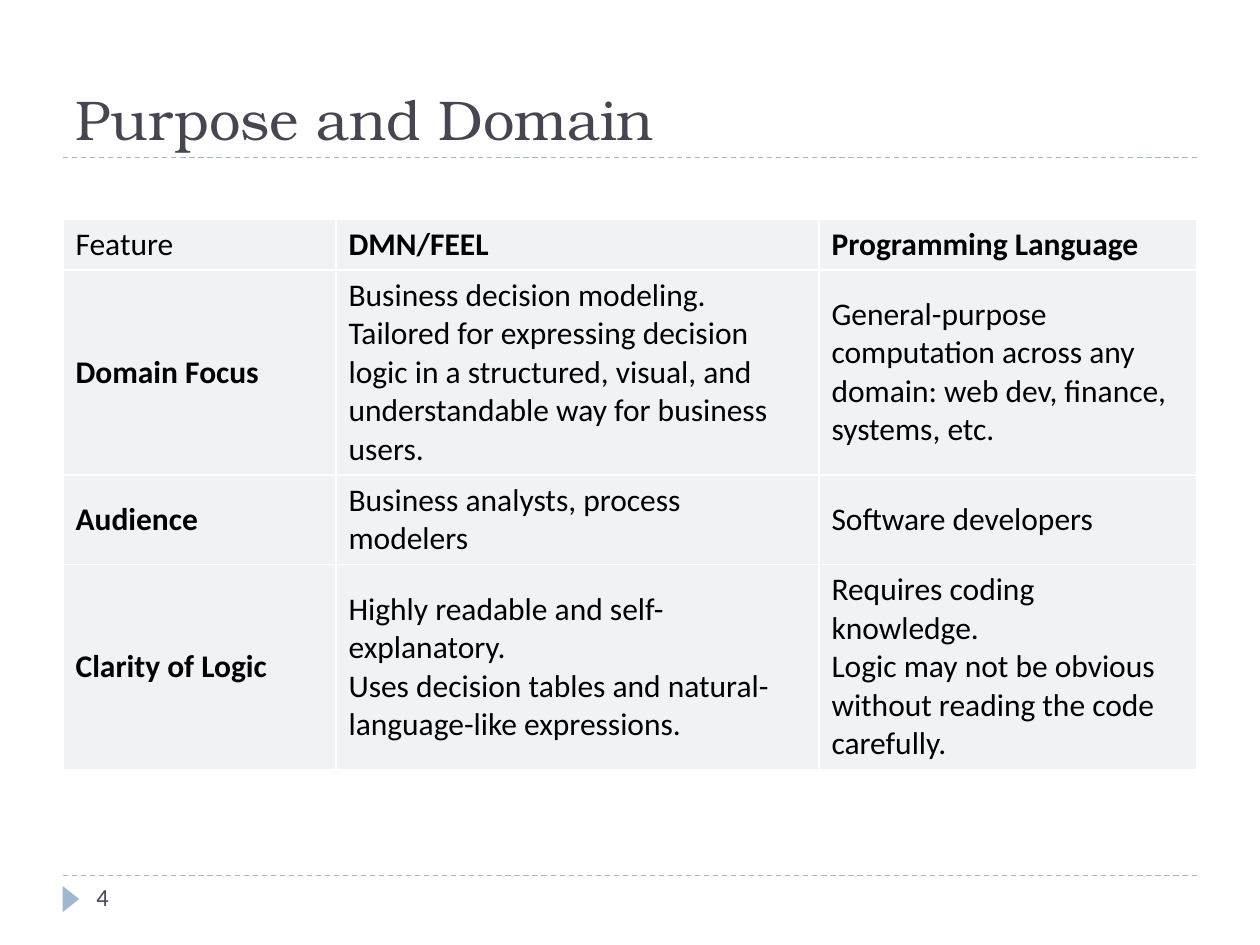
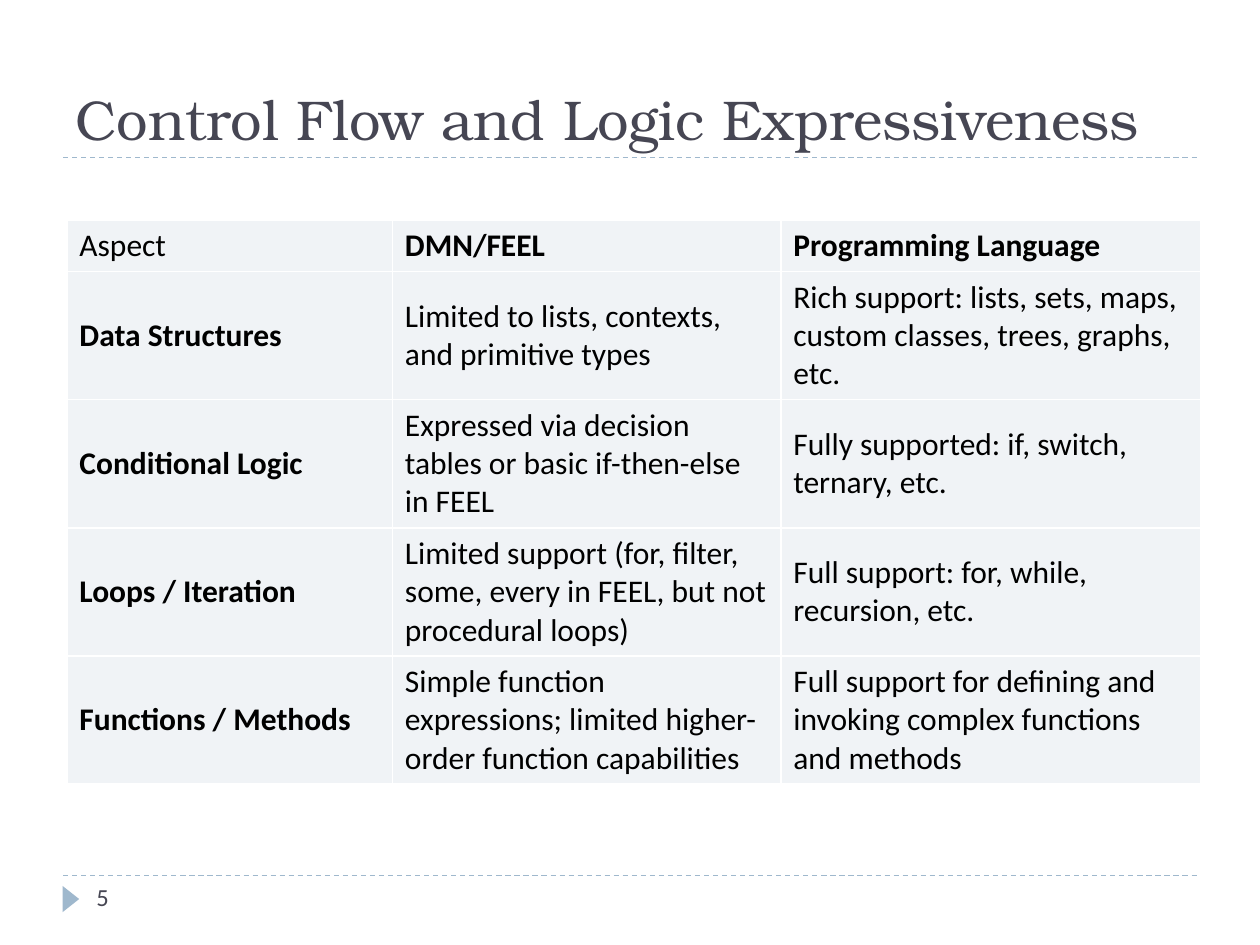
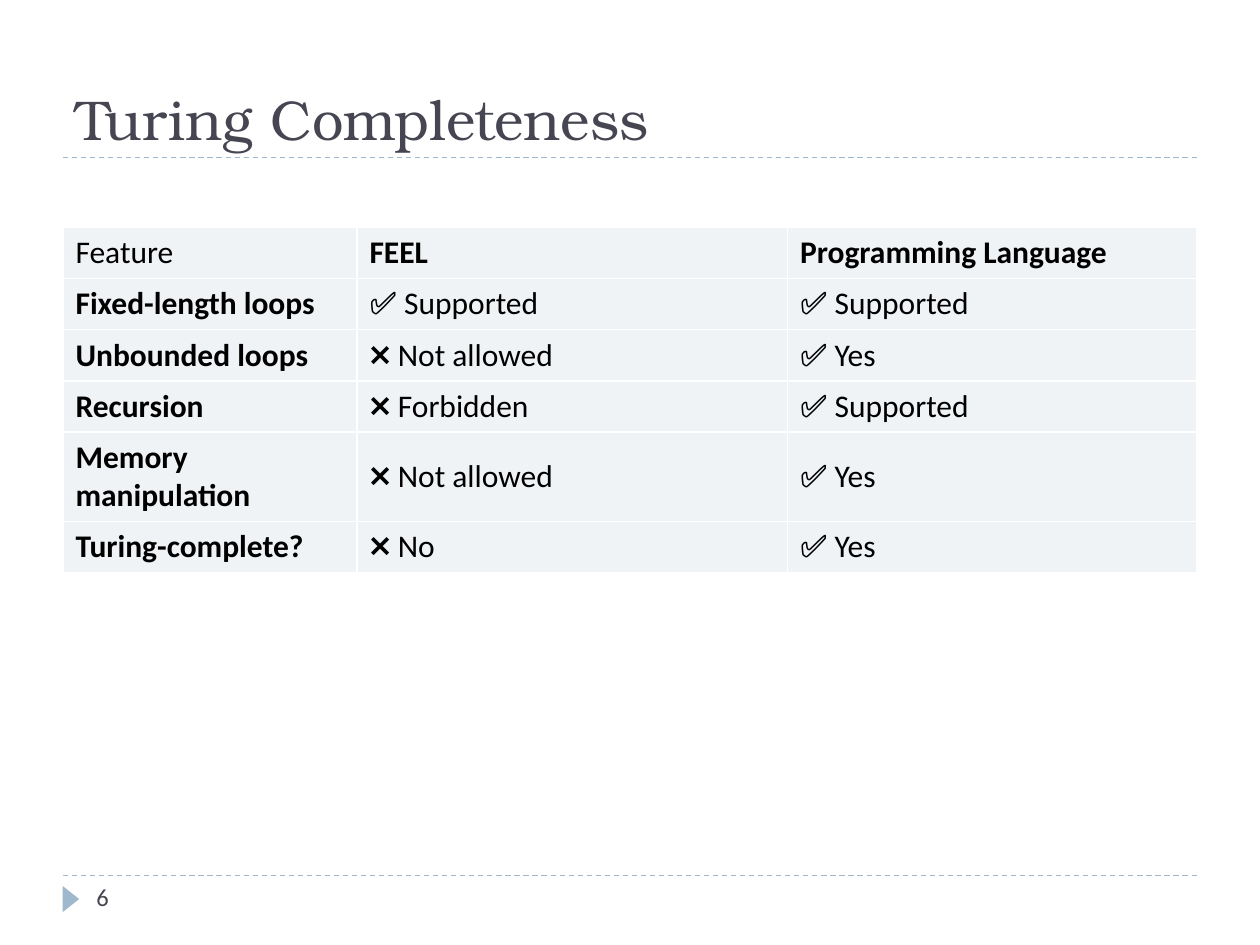
import pptx
import pptx.dml.color
import pptx.enum.dml
import pptx.enum.shapes
import pptx.enum.text
import pptx.oxml
import pptx.oxml.ns
import pptx.util
from lxml import etree

Pt = pptx.util.Pt

COLORS = {"ink": "464653", "accent": "9FB8CD", "cell": "F0F3F6", "text": "000000", "border": "FFFFFF"}
TITLE_FONT = {"name": "TeX Gyre Bonum", "size": Pt(32), "color": "ink"}
NUMBER_FONT = {"name": "Calibri", "size": Pt(14), "color": "ink"}
CELL_FONT = {"name": "Calibri", "size": Pt(18), "color": "text"}

FIRST_NUMBER = 4
MARGIN, CONTENT_WIDTH = 36, 648
TITLE_RULE, FOOTER_RULE = 90, 500.4
LINE_HEIGHT, CELL_PADDING = 22, 7.2

# "lines" is the number of text lines that each row holds
SLIDES = [
    {
        "title": "Purpose and Domain",
        "at": (36, 125),
        "columns": (156, 276, 216),
        "lines": (1, 5, 2, 5),
        "rows": [
            ("Feature", "DMN/FEEL", "Programming Language"),
            ("Domain Focus",
             "Business decision modeling.\nTailored for expressing decision logic in a structured, "
             "visual, and understandable way for business users.",
             "General-purpose computation across any domain: web dev, finance, systems, etc."),
            ("Audience", "Business analysts, process modelers", "Software developers"),
            ("Clarity of Logic",
             "Highly readable and self-explanatory.\n"
             "Uses decision tables and natural-language-like expressions.",
             "Requires coding knowledge.\n"
             "Logic may not be obvious without reading the code carefully."),
        ],
    },
    {
        "title": "Control Flow and Logic Expressiveness",
        "at": (38.2, 126),
        "columns": (186, 222, 240),
        "lines": (1, 3, 3, 3, 3),
        "rows": [
            ("Aspect", "DMN/FEEL", "Programming Language"),
            ("Data Structures", "Limited to lists, contexts, and primitive types",
             "Rich support: lists, sets, maps, custom classes, trees, graphs, etc."),
            ("Conditional Logic", "Expressed via decision tables or basic if-then-else in FEEL",
             "Fully supported: if, switch, ternary, etc."),
            ("Loops / Iteration",
             "Limited support (for, filter, some, every in FEEL, but not procedural loops)",
             "Full support: for, while, recursion, etc."),
            ("Functions / Methods",
             "Simple function expressions; limited higher-order function capabilities",
             "Full support for defining and invoking complex functions and methods"),
        ],
    },
    {
        "title": "Turing Completeness",
        "at": (36, 130),
        "columns": (168, 246, 234),
        "lines": (1, 1, 1, 1, 2, 1),
        "rows": [
            ("Feature", "FEEL", "Programming Language"),
            ("Fixed-length loops", "✅ Supported", "✅ Supported"),
            ("Unbounded loops", "❌ Not allowed", "✅ Yes"),
            ("Recursion", "❌ Forbidden", "✅ Supported"),
            ("Memory manipulation", "❌ Not allowed", "✅ Yes"),
            ("Turing-complete?", "❌ No", "✅ Yes"),
        ],
    },
]


def rgb(name):
    return pptx.dml.color.RGBColor.from_string(COLORS[name])


def set_font(tf, style):
    for p in tf.paragraphs:
        for r in p.runs:
            for key, value in style.items():
                if key == "color":
                    r.font.color.rgb = rgb(value)
                else:
                    setattr(r.font, key, value)


def add_text(s, text, box, style, anchor):
    tf = s.shapes.add_textbox(*map(Pt, box)).text_frame
    tf.word_wrap = True
    tf.vertical_anchor = anchor
    tf.text = text
    set_font(tf, style)


def add_rule(s, y):
    line = s.shapes.add_connector(pptx.enum.shapes.MSO_CONNECTOR.STRAIGHT,
                                  Pt(MARGIN), Pt(y), Pt(MARGIN + CONTENT_WIDTH), Pt(y))
    line.line.color.rgb = rgb("accent")
    line.line.width = Pt(0.75)
    line.line.dash_style = pptx.enum.dml.MSO_LINE.DASH
    etree.SubElement(line._element.spPr, pptx.oxml.ns.qn("a:effectLst"))


def add_frame(s, title, number):
    """Add the title, both rules, the footer marker and the slide number."""
    anchors = pptx.enum.text.MSO_ANCHOR
    for y in (FOOTER_RULE, TITLE_RULE):
        add_rule(s, y)
    marker = s.shapes.add_shape(pptx.enum.shapes.MSO_SHAPE.ISOSCELES_TRIANGLE,
                                Pt(33), Pt(509), Pt(15), Pt(9.5))
    marker.rotation = 90
    marker.shadow.inherit = False
    marker.fill.solid()
    marker.fill.fore_color.rgb = rgb("accent")
    marker.line.fill.background()
    add_text(s, title, (MARGIN, 12, CONTENT_WIDTH, TITLE_RULE - 12), TITLE_FONT, anchors.BOTTOM)
    add_text(s, str(number), (48, FOOTER_RULE, 156, 28.8), NUMBER_FONT, anchors.TOP)


def set_borders(cell):
    tc_pr = cell._tc.get_or_add_tcPr()
    for i, side in enumerate("LRTB"):
        tc_pr.insert(i, pptx.oxml.parse_xml(
            f'<a:ln{side} {pptx.oxml.ns.nsdecls("a")} w="{Pt(1)}"><a:solidFill>'
            f'<a:srgbClr val="{COLORS["border"]}"/></a:solidFill></a:ln{side}>'))


def add_comparison(s, at, columns, lines, rows):
    heights = [n * LINE_HEIGHT + CELL_PADDING for n in lines]
    table = s.shapes.add_table(len(rows), len(columns), Pt(at[0]), Pt(at[1]),
                               Pt(sum(columns)), Pt(sum(heights))).table
    table.first_row = table.horz_banding = False
    for column, width in zip(table.columns, columns):
        column.width = Pt(width)
    for i, (row, height) in enumerate(zip(rows, heights)):
        table.rows[i].height = Pt(height)
        for j, text in enumerate(row):
            cell = table.cell(i, j)
            cell.text = text
            cell.vertical_anchor = pptx.enum.text.MSO_ANCHOR.MIDDLE
            cell.fill.solid()
            cell.fill.fore_color.rgb = rgb("cell")
            set_borders(cell)
            # headings are bold, except the one in the corner
            set_font(cell.text_frame, {**CELL_FONT, "bold": (i == 0) != (j == 0)})


def main():
    prs = pptx.Presentation()
    prs.slide_width, prs.slide_height = Pt(720), Pt(540)
    for number, content in enumerate(SLIDES, FIRST_NUMBER):
        s = prs.slides.add_slide(prs.slide_layouts[6])
        add_frame(s, content["title"], number)
        add_comparison(s, content["at"], content["columns"], content["lines"], content["rows"])
    prs.save("out.pptx")


if __name__ == "__main__":
    main()
